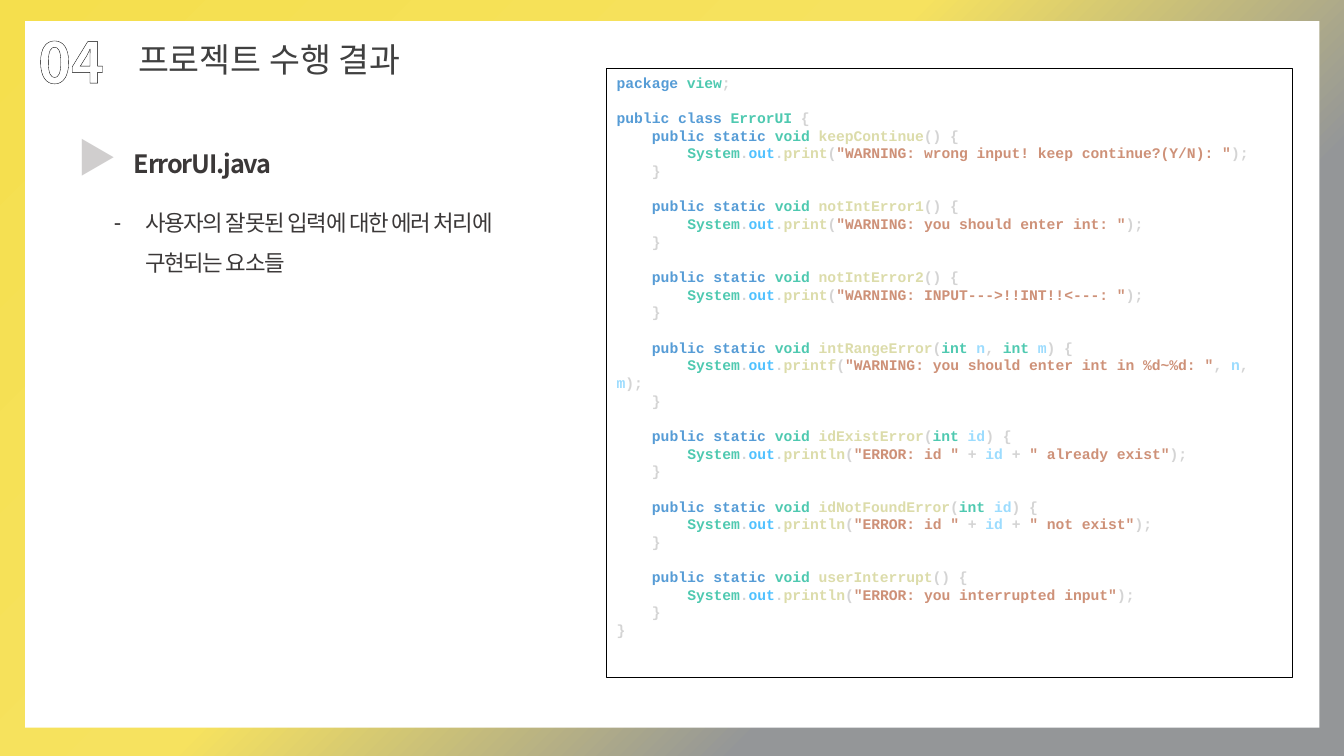
"""Build the ErrorUI.java result slide with its highlighted code listing."""
from lxml import etree
from pptx import Presentation
from pptx.dml.color import RGBColor
from pptx.enum.shapes import MSO_SHAPE as SHAPE
from pptx.enum.text import MSO_ANCHOR as ANCHOR, MSO_AUTO_SIZE as AUTO, PP_ALIGN as ALIGN
from pptx.oxml import parse_xml
from pptx.oxml.ns import nsdecls, qn
from pptx.util import Pt

SANS, MONO = "Noto Sans CJK KR", "Courier New"
DARK, BLACK, WHITE = "3B3838", "000000", "FFFFFF"
KEYWORD, TYPE, PLAIN, FUNC = "569CD6", "4EC9B0", "D4D4D4", "DCDCAA"
FIELD, STRING, PARAM = "4FC1FF", "CE9178", "9CDCFE"
BACKDROP = [(0, "F5DF4D"), (44, "F6E25F"), (71, "949698"), (100, "939597")]

TITLE = "프로젝트 수행 결과"
NUMBER = "04"
MARKER = "▶"
FILE_NAME = "ErrorUI.java"
SUMMARY = "사용자의 잘못된 입력에 대한 에러 처리에 구현되는 요소들"

PANEL_BOX = (18, 15.12, 924.48, 504.72)
CODE_BOX = (433.44, 48.96, 489.6, 434.88)
TITLE_BOX = (91.44, 24.48, 232.56, 36.72)
NUMBER_BOX = (20.16, 15.84, 91.44, 56.16)
MARKER_BOX = (48.24, 91.44, 39.6, 41.04)
FILE_BOX = (88.56, 102.24, 583.92, 87.12)
SUMMARY_BOX = (74.16, 136.08, 303.12, 65.52)
CODE_SIZE, LINE_PITCH, TAB = 10.5, 12.6, 25.2

METHODS = [
    ("keepContinue", [], "print", [(STRING, '"WARNING: wrong input! keep continue?(Y/N): "')]),
    ("notIntError1", [], "print", [(STRING, '"WARNING: you should enter int: "')]),
    ("notIntError2", [], "print", [(STRING, '"WARNING: INPUT--->!!INT!!<---: "')]),
    ("intRangeError", ["n", "m"], "printf",
     [(STRING, '"WARNING: you should enter int in %d~%d: "'), (PLAIN, ", "),
      (PARAM, "n"), (PLAIN, ", "), (PARAM, "m")]),
    ("idExistError", ["id"], "println",
     [(STRING, '"ERROR: id "'), (PLAIN, " + "), (PARAM, "id"), (PLAIN, " + "),
      (STRING, '" already exist"')]),
    ("idNotFoundError", ["id"], "println",
     [(STRING, '"ERROR: id "'), (PLAIN, " + "), (PARAM, "id"), (PLAIN, " + "),
      (STRING, '" not exist"')]),
    ("userInterrupt", [], "println", [(STRING, '"ERROR: you interrupted input"')]),
]


def rgb(color):
    return RGBColor.from_string(color)


def code_lines():
    """Return (indent level, gap before, coloured parts) for each line."""
    lines = [
        (0, False, [(KEYWORD, "package "), (TYPE, "view"), (PLAIN, ";")]),
        (0, True, [(KEYWORD, "public class "), (TYPE, "ErrorUI"), (PLAIN, " {")]),
    ]
    for i, (name, params, call, args) in enumerate(METHODS):
        head = [(KEYWORD, "public static "), (TYPE, "void "), (FUNC, name), (PLAIN, "(")]
        for j, param in enumerate(params):
            head += [(PLAIN, ", ")] if j else []
            head += [(TYPE, "int "), (PARAM, param)]
        body = [(TYPE, "System"), (PLAIN, "."), (FIELD, "out"), (PLAIN, "."),
                (FUNC, call), (PLAIN, "("), *args, (PLAIN, ");")]
        lines += [(1, i > 0, head + [(PLAIN, ") {")]), (2, False, body),
                  (1, False, [(PLAIN, "}")])]
    return lines + [(0, False, [(PLAIN, "}")])]


def add_run(p, text, size, color=DARK, font=SANS, bold=False, spacing=None,
            pattern=None, outline=None):
    """Add one formatted run to a paragraph."""
    r = p.add_run()
    r.text = text
    r.font.size, r.font.bold, r.font.name = Pt(size), bold, font
    rPr = r._r.get_or_add_rPr()
    rPr.find(qn("a:latin")).addnext(parse_xml(f'<a:ea {nsdecls("a")} typeface="{font}"/>'))
    if spacing is not None:
        rPr.set("spc", str(round(spacing * 100)))
    if pattern:
        front, back = pattern
        rPr.insert(0, parse_xml(
            f'<a:pattFill {nsdecls("a")} prst="dkUpDiag"><a:fgClr><a:srgbClr val="{front}"/>'
            f'</a:fgClr><a:bgClr><a:srgbClr val="{back}"/></a:bgClr></a:pattFill>'))
    else:
        r.font.color.rgb = rgb(color)
    if outline:
        rPr.insert(0, parse_xml(
            f'<a:ln {nsdecls("a")} w="{Pt(1.25)}"><a:solidFill>'
            f'<a:srgbClr val="{outline}"/></a:solidFill></a:ln>'))


def place(shape, box):
    """Move a shape to a box given in points."""
    shape.left, shape.top, shape.width, shape.height = map(Pt, box)


def prepare(shape, wrap=True):
    """Set the text frame to top left and return its first paragraph."""
    tf = shape.text_frame
    tf.word_wrap, tf.auto_size, tf.vertical_anchor = wrap, AUTO.NONE, ANCHOR.TOP
    p = tf.paragraphs[0]
    p.alignment, p.space_before = ALIGN.LEFT, Pt(0)
    return p


def add_label(s, text, box, size, **style):
    """Add a text box holding one run."""
    add_run(prepare(s.shapes.add_textbox(*map(Pt, box))), text, size, **style)


def add_rect(s, box):
    """Add a rectangle without shadow."""
    sp = s.shapes.add_shape(SHAPE.RECTANGLE, *map(Pt, box))
    sp.shadow.inherit = False
    return sp


def set_backdrop(s):
    """Fill the slide background with the diagonal gradient."""
    s.background.fill.gradient()
    grad = s.background._cSld.find(".//" + qn("a:gradFill"))
    stops = grad.find(qn("a:gsLst"))
    for old in list(stops):
        stops.remove(old)
    for pos, color in BACKDROP:
        gs = etree.SubElement(stops, qn("a:gs"), pos=str(pos * 1000))
        etree.SubElement(gs, qn("a:srgbClr"), val=color)
    lin = grad.find(qn("a:lin"))
    lin.set("ang", str(45 * 60000))
    lin.set("scaled", "0")


def add_code(s):
    """Add the framed code listing."""
    sp = add_rect(s, CODE_BOX)
    sp.fill.background()
    sp.line.color.rgb, sp.line.width = rgb(BLACK), Pt(0)
    p = prepare(sp)
    for i, (level, gap, parts) in enumerate(code_lines()):
        p = sp.text_frame.add_paragraph() if i else p
        p.alignment, p.line_spacing = ALIGN.LEFT, Pt(LINE_PITCH)
        p.space_before = Pt(LINE_PITCH if gap else 0)
        p._p.get_or_add_pPr().set("indent", str(Pt(level * TAB)))
        for color, text in parts:
            add_run(p, text, CODE_SIZE, color=color, font=MONO, bold=True)


def main():
    prs = Presentation()
    prs.slide_width, prs.slide_height = Pt(960), Pt(540)
    s = prs.slides.add_slide(prs.slide_layouts[1])
    set_backdrop(s)

    panel = add_rect(s, PANEL_BOX)
    panel.fill.solid()
    panel.fill.fore_color.rgb = rgb(WHITE)
    panel.line.fill.background()
    title, body = s.shapes.title, s.placeholders[1]
    title.element.addprevious(panel.element)

    place(title, TITLE_BOX)
    add_run(prepare(title, wrap=False), TITLE, 24, color="404040")

    place(body, SUMMARY_BOX)
    p = prepare(body)
    p.line_spacing = 1.5
    pPr = p._p.get_or_add_pPr()
    pPr.set("marL", str(Pt(22.32)))
    pPr.set("indent", str(Pt(-22.32)))
    etree.SubElement(pPr, qn("a:buChar"), char="-")
    add_run(p, SUMMARY, 16, spacing=-0.9)

    add_label(s, FILE_NAME, FILE_BOX, 18, bold=True, spacing=-0.9)
    add_code(s)
    add_label(s, MARKER, MARKER_BOX, 28, bold=True, pattern=("939597", "D0CECE"))
    add_label(s, NUMBER, NUMBER_BOX, 40, bold=True, pattern=(DARK, WHITE), outline=BLACK)
    prs.save("out.pptx")


if __name__ == "__main__":
    main()
